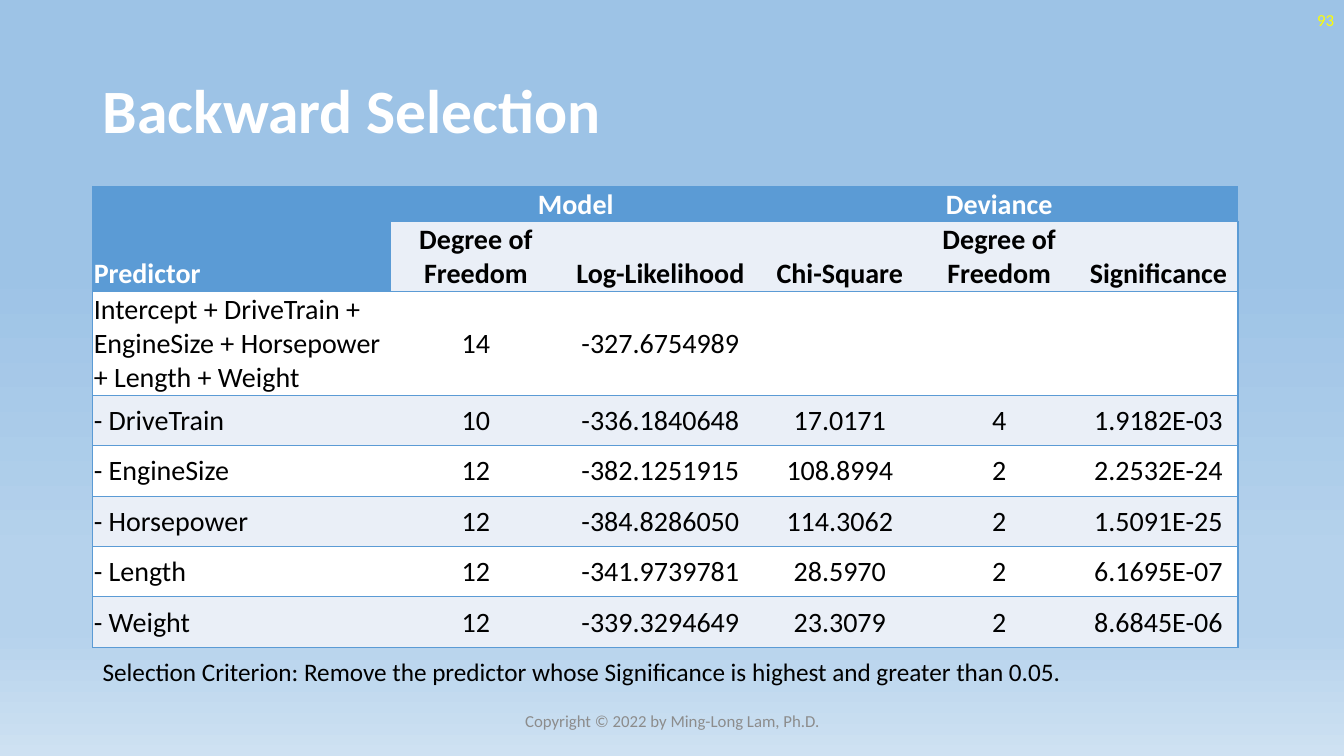
"""Build the Backward Selection slide with its table of model and deviance statistics."""
from copy import deepcopy

from lxml.etree import SubElement
from pptx import Presentation
from pptx.dml.color import RGBColor
from pptx.enum.text import MSO_ANCHOR as ANCHOR, PP_ALIGN as ALIGN
from pptx.oxml.ns import qn
from pptx.util import Inches, Pt

FONT = "Calibri"
COLORS = {"white": "FFFFFF", "black": "000000", "number": "FFFF00", "footer": "8C8C8C",
          "accent": "5B9BD5", "band": "EAEFF7"}
GRADIENT = [(0.35, "9DC3E6"), (0.74, "B5D2EC"), (0.83, "B5D2EC"), (1.0, "CEE1F2")]

TITLE = "Backward Selection"
TITLE_BOX = (0.92, 0.4, 11.5, 1.45)
NOTES = [
    ("93", (10.33, 0, 3, 0.4), 12, "number", ALIGN.RIGHT, ANCHOR.MIDDLE),
    ("Copyright © 2022 by Ming-Long Lam, Ph.D.", (4.42, 6.95, 4.5, 0.4), 12, "footer",
     ALIGN.CENTER, ANCHOR.MIDDLE),
    ("Selection Criterion: Remove the predictor whose Significance is highest "
     "and greater than 0.05.", (0.92, 6.46, 11.37, 0.4), 18, "black", ALIGN.LEFT, ANCHOR.TOP),
]
ROWS = [
    ("Predictor", "Model", "", "Deviance", "", ""),
    ("", "Degree of Freedom", "Log-Likelihood", "Chi-Square", "Degree of Freedom", "Significance"),
    ("Intercept + DriveTrain + EngineSize + Horsepower + Length + Weight",
     "14", "-327.6754989", "", "", ""),
    ("- DriveTrain", "10", "-336.1840648", "17.0171", "4", "1.9182E-03"),
    ("- EngineSize", "12", "-382.1251915", "108.8994", "2", "2.2532E-24"),
    ("- Horsepower", "12", "-384.8286050", "114.3062", "2", "1.5091E-25"),
    ("- Length", "12", "-341.9739781", "28.5970", "2", "6.1695E-07"),
    ("- Weight", "12", "-339.3294649", "23.3079", "2", "8.6845E-06"),
]
MERGES = [((0, 0), (1, 0)), ((0, 1), (0, 2)), ((0, 3), (0, 5))]
COL_WIDTHS = [2.96, 1.68, 1.98, 1.58, 1.58, 1.58]
ROW_HEIGHTS = [0.34, 0.69, 1.02] + [0.5] * 5
TABLE_AT = (0.92, 1.85)


def rgb(name):
    return RGBColor.from_string(COLORS[name])


def write(tf, text, size, color, align, bold=False):
    tf.text = text
    p = tf.paragraphs[0]
    p.alignment = align
    for font in [p.font] + [r.font for r in p.runs]:
        font.name, font.size, font.bold = FONT, Pt(size), bold
        font.color.rgb = rgb(color)
    return p


def add_background(s):
    fill = s.background.fill
    fill.gradient()
    fill.gradient_angle = 270
    stops = s._element.find(".//" + qn("a:gsLst"))
    while len(stops) < len(GRADIENT):
        stops.append(deepcopy(stops[0]))
    for stop, (position, color) in zip(fill.gradient_stops, GRADIENT):
        stop.position = position
        stop.color.rgb = RGBColor.from_string(color)


def add_borders(cell, visible):
    tcPr = cell._tc.get_or_add_tcPr()
    for side in "LRTB":
        ln = SubElement(tcPr, qn("a:ln" + side), w=str(Pt(1)))
        if side in visible:
            solid = SubElement(ln, qn("a:solidFill"))
            SubElement(solid, qn("a:srgbClr"), val=COLORS["accent"])
        else:
            SubElement(ln, qn("a:noFill"))


def add_table(s):
    left, top = TABLE_AT
    table = s.shapes.add_table(len(ROWS), len(COL_WIDTHS), Inches(left), Inches(top),
                               Inches(sum(COL_WIDTHS)), Inches(sum(ROW_HEIGHTS))).table
    for col, width in zip(table.columns, COL_WIDTHS):
        col.width = Inches(width)
    for row, height in zip(table.rows, ROW_HEIGHTS):
        row.height = Inches(height)
    last = len(COL_WIDTHS) - 1
    for i, row in enumerate(ROWS):
        for j, text in enumerate(row):
            cell = table.cell(i, j)
            header = i == 0 or (i == 1 and j == 0)
            cell.margin_left = cell.margin_right = cell.margin_top = Inches(0.01)
            cell.margin_bottom = 0
            bottom = i == 1 or (i == 0 and j == 0)
            cell.vertical_anchor = ANCHOR.BOTTOM if bottom else ANCHOR.MIDDLE
            write(cell.text_frame, text, 20, "white" if header else "black",
                  ALIGN.CENTER if j else ALIGN.LEFT, bold=i < 2)
            add_borders(cell, "TB" + ("L" if j == 0 else "") + ("R" if j == last else ""))
            cell.fill.solid()
            cell.fill.fore_color.rgb = rgb("accent" if header else "band" if i % 2 else "white")
    for start, end in MERGES:
        table.cell(*start).merge(table.cell(*end))


def main():
    prs = Presentation()
    prs.slide_width, prs.slide_height = Inches(13.33), Inches(7.5)
    s = prs.slides.add_slide(prs.slide_layouts[5])
    add_background(s)

    title = s.shapes.title
    title.left, title.top, title.width, title.height = map(Inches, TITLE_BOX)
    title.text_frame.vertical_anchor = ANCHOR.MIDDLE
    write(title.text_frame, TITLE, 44, "white", ALIGN.LEFT, bold=True).line_spacing = 0.9

    add_table(s)
    for text, box, size, color, align, anchor in NOTES:
        tf = s.shapes.add_textbox(*map(Inches, box)).text_frame
        tf.word_wrap = True
        tf.vertical_anchor = anchor
        write(tf, text, size, color, align)

    prs.save("out.pptx")


if __name__ == "__main__":
    main()
